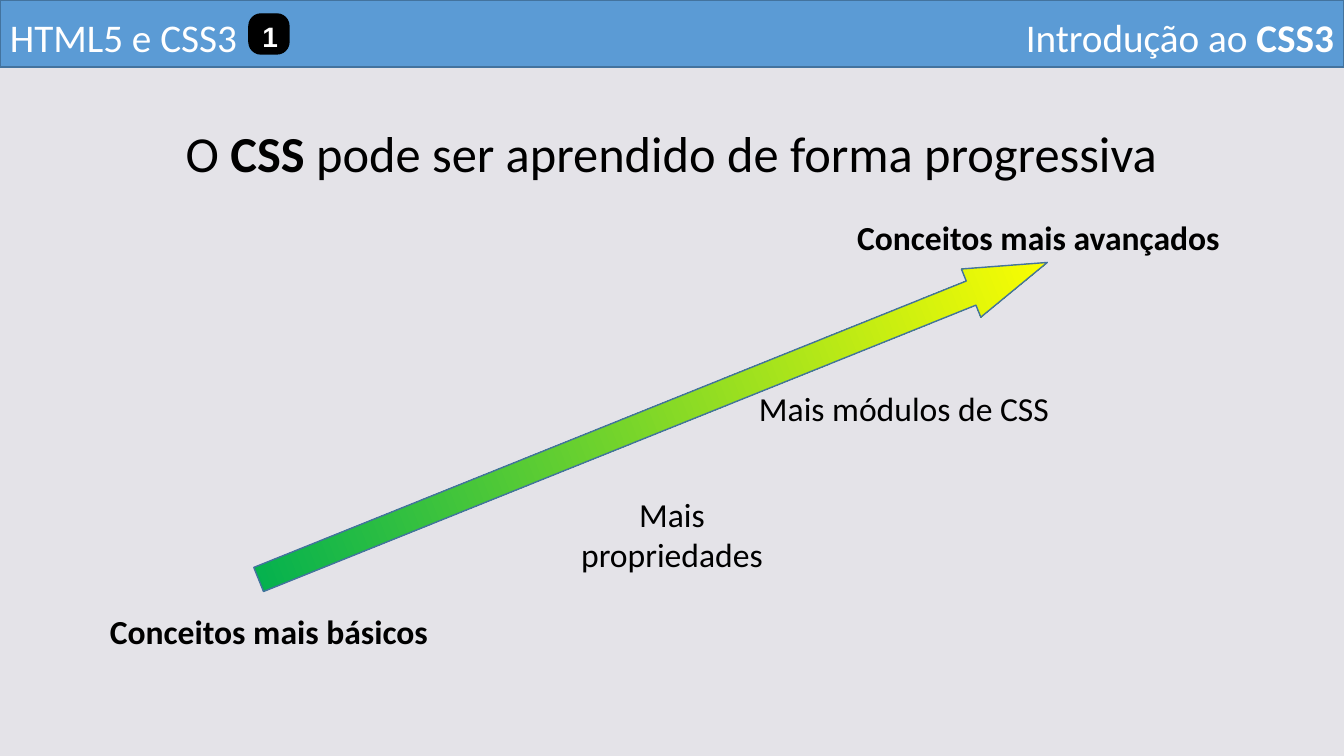
from dataclasses import dataclass
from pptx import Presentation
from pptx.dml.color import RGBColor
from pptx.enum.shapes import MSO_SHAPE
from pptx.enum.text import MSO_ANCHOR, MSO_AUTO_SIZE, PP_ALIGN
from pptx.util import Pt

RECT, ROUND, ARROW = MSO_SHAPE.RECTANGLE, MSO_SHAPE.ROUNDED_RECTANGLE, MSO_SHAPE.RIGHT_ARROW
LEFT, MID, RIGHT = PP_ALIGN.LEFT, PP_ALIGN.CENTER, PP_ALIGN.RIGHT
TOP, CENTER, FIXED = MSO_ANCHOR.TOP, MSO_ANCHOR.MIDDLE, MSO_AUTO_SIZE.NONE


@dataclass(frozen=True)
class Theme:
    back: str = "E4E3E8"
    bar: str = "5B9BD5"
    edge: str = "43739E"
    ink: str = "000000"
    pale: str = "FFFFFF"
    start: str = "00B050"
    end: str = "FFFF00"
    font: str = "Calibri"
    mark: str = "Arial"
    title: int = 36
    head: int = 28
    label: int = 24
    badge: int = 20


theme = Theme()
WIDE, HIGH = 1344, 756
BAR = (0, 0, WIDE, 67)
BADGE = (249, 14, 40, 40)
SLOPE = (228, 395, 850, 52)
TITLE = ((169, 117, 1005, 72),
         [("O ", False), ("CSS", True), (" pode ser aprendido de forma progressiva", False)])
HEADS = [
    ((0, 8, 249, 57), LEFT, [("HTML5 e CSS3", False)]),
    ((1007, 8, 337, 57), RIGHT, [("Introdução ao ", False), ("CSS3", True)]),
]
LABELS = [
    ((97, 606, 344, 50), "Conceitos mais básicos", True),
    ((844, 212, 389, 50), "Conceitos mais avançados", True),
    ((746, 383, 316, 50), "Mais módulos de CSS", False),
]
NARROW = ((537, 489, 270, 50), "Mais propriedades", 35)


def px(n):
    return round(n * 914400 / 100.8)


def rgb(code):
    return RGBColor.from_string(code)


def write(frame, runs, size, color, align=MID, font=theme.font):
    para = frame.paragraphs[0]
    para.alignment = align
    for text, bold in runs:
        run = para.add_run()
        run.text = text
        run.font.name = font
        run.font.size = Pt(size)
        run.font.bold = bold
        run.font.color.rgb = rgb(color)
    return para


def label(slide, box, runs, size, color, align=MID):
    frame = slide.shapes.add_textbox(*map(px, box)).text_frame
    frame.word_wrap = False
    write(frame, runs, size, color, align)
    return frame


def shape(slide, kind, box, line, fill=None):
    item = slide.shapes.add_shape(kind, *map(px, box))
    item.shadow.inherit = False
    item.line.color.rgb = rgb(line)
    item.line.width = Pt(1)
    if fill:
        item.fill.solid()
        item.fill.fore_color.rgb = rgb(fill)
    return item


def main():
    deck = Presentation()
    deck.slide_width, deck.slide_height = px(WIDE), px(HIGH)
    slide = deck.slides.add_slide(deck.slide_layouts[5])
    slide.background.fill.solid()
    slide.background.fill.fore_color.rgb = rgb(theme.back)

    box, runs = TITLE
    title = slide.shapes.title
    title.left, title.top, title.width, title.height = map(px, box)
    frame = title.text_frame
    frame.auto_size = FIXED
    frame.word_wrap = False
    frame.vertical_anchor = TOP
    write(frame, runs, theme.title, theme.ink)

    shape(slide, RECT, BAR, theme.edge, theme.bar)
    for box, align, runs in HEADS:
        label(slide, box, runs, theme.head, theme.pale, align)

    badge = shape(slide, ROUND, BADGE, theme.ink, theme.ink)
    badge.adjustments[0] = 0.3
    badge.text_frame.vertical_anchor = CENTER
    para = write(badge.text_frame, [("1", True)], theme.badge, theme.pale, font=theme.mark)
    para.line_spacing = Pt(27)

    slope = shape(slide, ARROW, SLOPE, theme.edge)
    slope.rotation = 338.1
    slope.adjustments[0], slope.adjustments[1] = 0.5, 1.58
    slope.fill.gradient()
    slope.fill.gradient_angle = 0
    for stop, spot, color in zip(slope.fill.gradient_stops, (0, 1), (theme.start, theme.end)):
        stop.position = spot
        stop.color.rgb = rgb(color)

    for box, text, bold in LABELS:
        label(slide, box, [(text, bold)], theme.label, theme.ink)

    box, text, inset = NARROW
    frame = label(slide, box, [(text, False)], theme.label, theme.ink)
    frame.word_wrap = True
    frame.margin_left = frame.margin_right = px(inset)

    deck.save("out.pptx")


if __name__ == "__main__":
    main()
